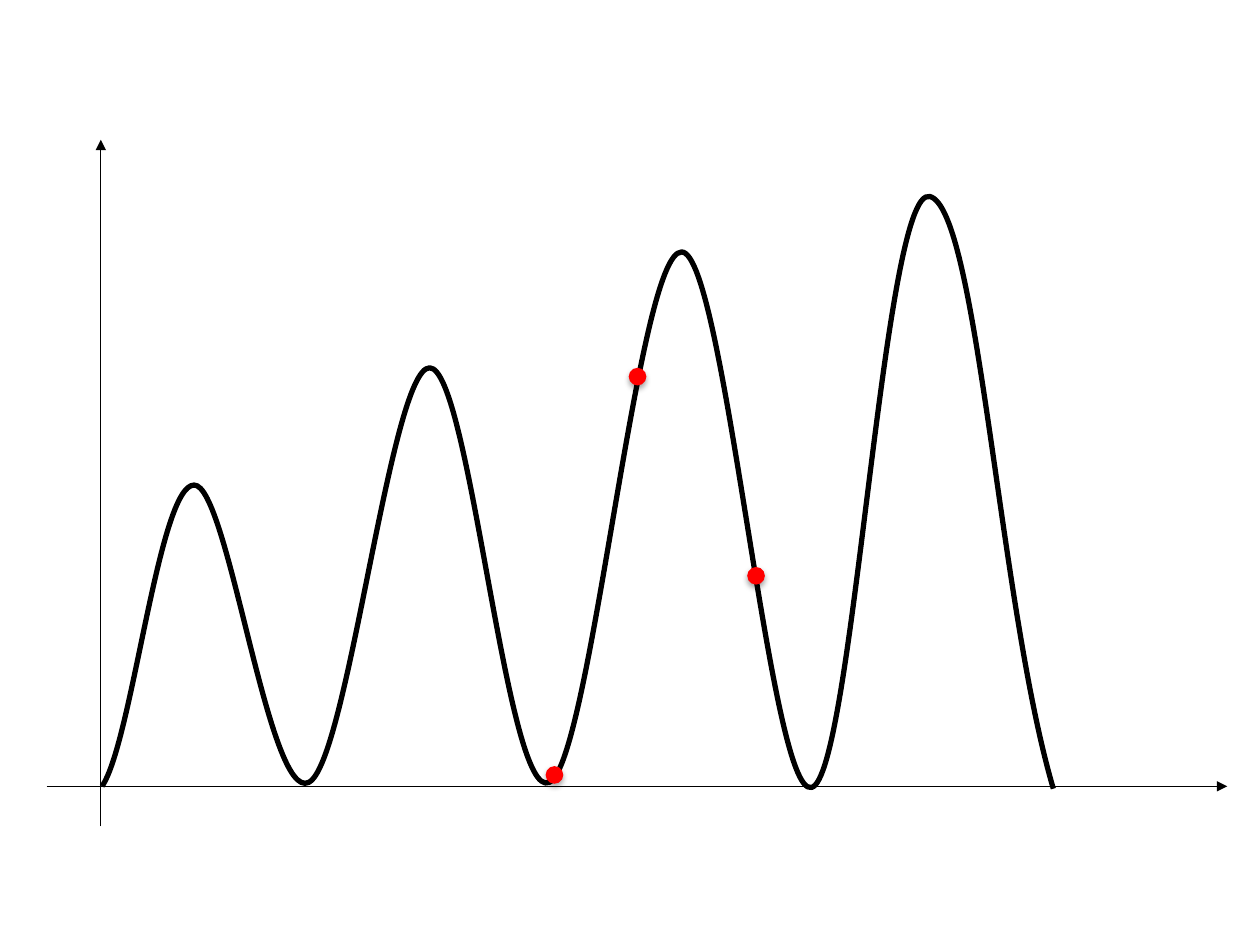
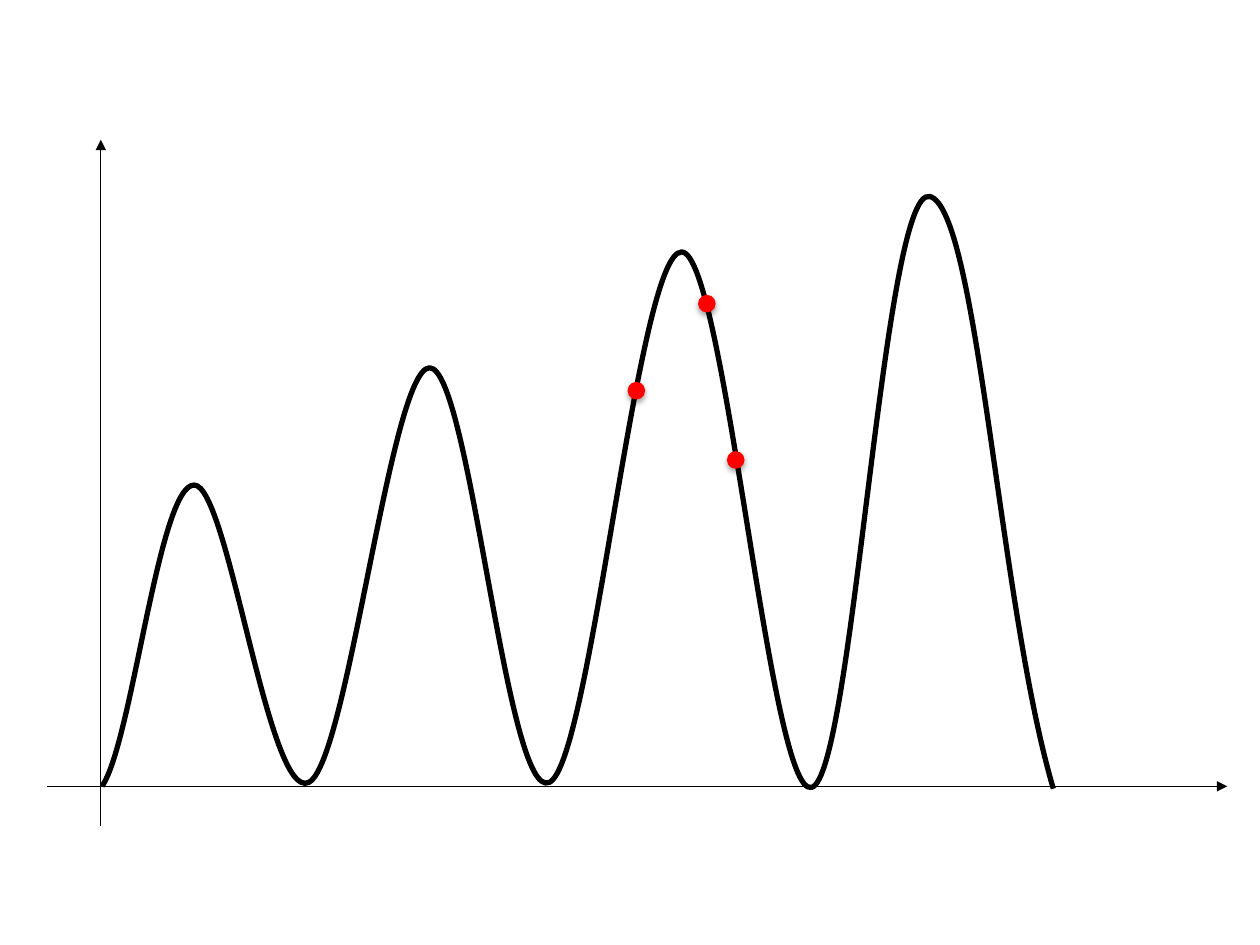
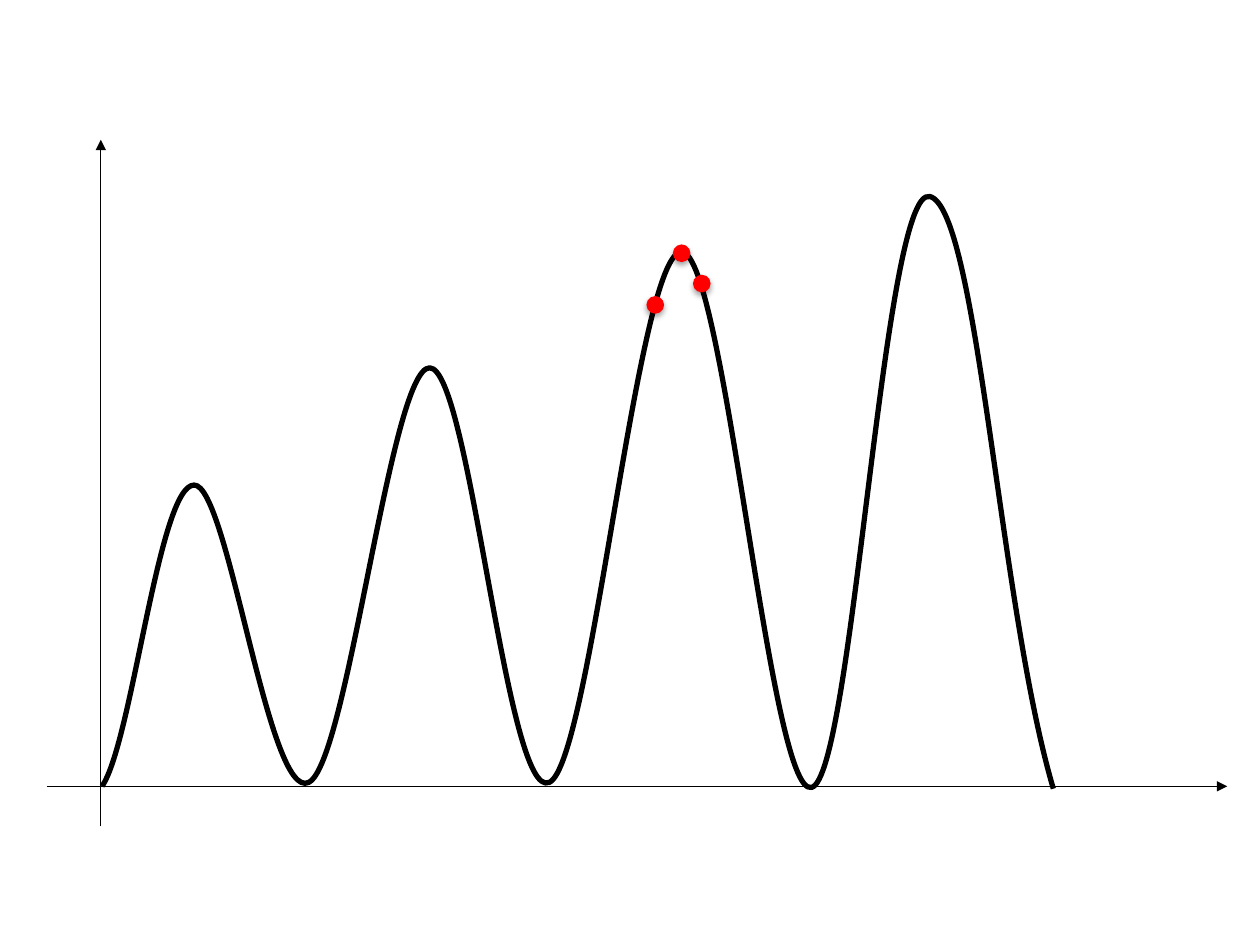
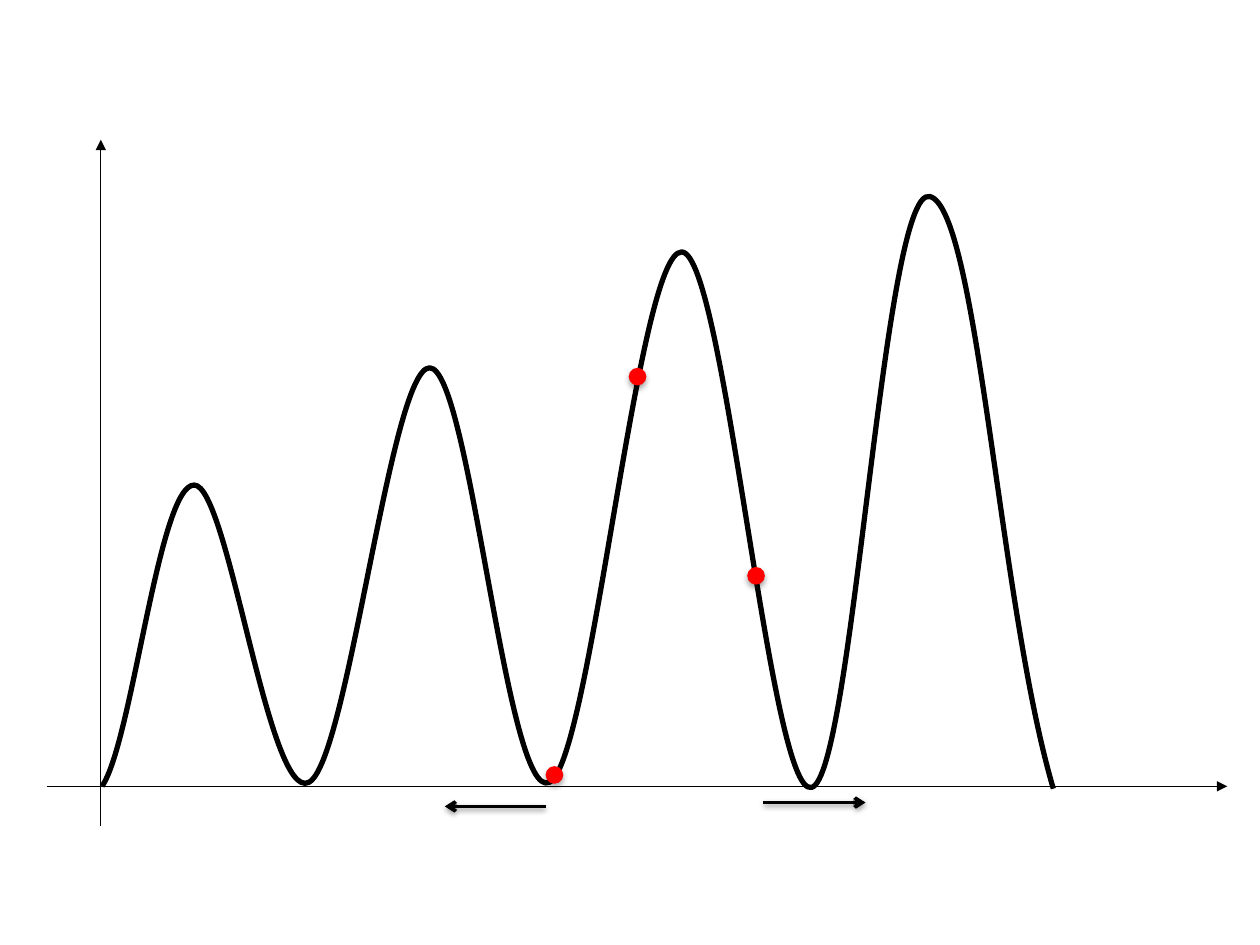
from lxml import etree
from pptx import Presentation
from pptx.dml.color import RGBColor
from pptx.enum import shapes
from pptx.oxml import ns
from pptx.util import Pt

# Shared style, all lengths in points
BLACK, RED = "000000", "FF0000"
DOT = 10.1
DOT_SHADOW = {"blur": 3.15, "dist": 1.81, "alpha": 35}
ARROW_SHADOW = {"blur": 3.15, "dist": 1.57, "alpha": 38}

# The wave: its start, then two control points and an end per half wave
START = (58.3, 449.3)
CURVES = [
    ((75.6, 424.1), (90.7, 277.2), (110.9, 277.2)),
    ((130.3, 276.5), (153.4, 458.6), (176.4, 447.1)),
    ((198.7, 436.3), (223.2, 210.2), (245.5, 210.2)),
    ((268.6, 210.2), (289.4, 458.6), (313.9, 447.1)),
    ((337.7, 436.3), (364.3, 143.3), (389.5, 144)),
    ((414, 144), (439.9, 455.8), (463.7, 450)),
    ((487.4, 445), (504.7, 105.1), (531.4, 112.3)),
    ((558.7, 119.5), (571, 346.3), (601.9, 450.7)),
]
AXES = [((57.6, 472.3), (57.6, 79.9)), ((26.6, 449.3), (701.3, 449.3))]

# Top left corners of the dots on each slide
WIDE = [(311.8, 437.8), (427, 324), (359.3, 210.2)]
CLOSER = [(398.9, 168.5), (415.4, 257.8), (358.6, 218.2)]
AT_PEAK = [(384.5, 139.7), (396, 157), (369.4, 169.2)]
OUTWARD = [((311.8, 460.8), (254.2, 460.8)), ((436.3, 458.6), (494.6, 458.6))]


def color(value):
    return RGBColor.from_string(value)


def add_xml(parent, tag, **attrs):
    return etree.SubElement(parent, ns.qn(tag), {k: str(v) for k, v in attrs.items()})


def set_shadow(sp, blur=0, dist=0, alpha=0):
    """Give the shape a downward shadow, or none when alpha is 0."""
    effects = add_xml(sp._element.spPr, "a:effectLst")
    if alpha:
        outer = add_xml(effects, "a:outerShdw", blurRad=Pt(blur), dist=Pt(dist),
                        dir=90 * 60000, rotWithShape=0)
        clr = add_xml(outer, "a:srgbClr", val=BLACK)
        add_xml(clr, "a:alpha", val=alpha * 1000)


def set_line(sp, width):
    sp.line.width = Pt(width)
    sp.line.color.rgb = color(BLACK)


def add_arrow(parent, start, end, width, head, shadow=None):
    points = [Pt(v) for v in (*start, *end)]
    c = parent.shapes.add_connector(shapes.MSO_CONNECTOR.STRAIGHT, *points)
    set_line(c, width)
    add_xml(c.line._get_or_add_ln(), "a:tailEnd", type=head)
    set_shadow(c, **(shadow or {}))


def add_dot(s, x, y):
    sp = s.shapes.add_shape(shapes.MSO_SHAPE.OVAL, Pt(x), Pt(y), Pt(DOT), Pt(DOT))
    sp.fill.solid()
    sp.fill.fore_color.rgb = color(RED)
    sp.line.fill.background()
    set_shadow(sp, **DOT_SHADOW)


def add_wave(s):
    builder = s.shapes.build_freeform(Pt(START[0]), Pt(START[1]))
    builder.add_line_segments([(Pt(x), Pt(y)) for *_, (x, y) in CURVES], close=False)
    sp = builder.convert_to_shape()
    sp.fill.background()
    set_line(sp, 3)
    set_shadow(sp)
    # Bend each straight segment with its two control points
    segments = list(sp._element.iter(ns.qn("a:lnTo")))
    for segment, (*controls, _) in zip(segments, CURVES):
        segment.tag = ns.qn("a:cubicBezTo")
        for i, (x, y) in enumerate(controls):
            pt = add_xml(segment, "a:pt", x=Pt(x) - sp.left, y=Pt(y) - sp.top)
            segment.insert(i, pt)


def add_axes(s):
    group = s.shapes.add_group_shape()
    for start, end in AXES:
        add_arrow(group, start, end, 0.75, "triangle")


def add_plot_slide(prs, dots, arrows=()):
    s = prs.slides.add_slide(prs.slide_layouts[6])
    add_wave(s)
    add_axes(s)
    for x, y in dots:
        add_dot(s, x, y)
    for start, end in arrows:
        add_arrow(s, start, end, 2, "arrow", ARROW_SHADOW)


def main():
    prs = Presentation()
    prs.slide_width, prs.slide_height = Pt(720), Pt(540)
    for dots in (WIDE, CLOSER, AT_PEAK):
        add_plot_slide(prs, dots)
    add_plot_slide(prs, WIDE, OUTWARD)
    prs.save("out.pptx")


if __name__ == "__main__":
    main()
